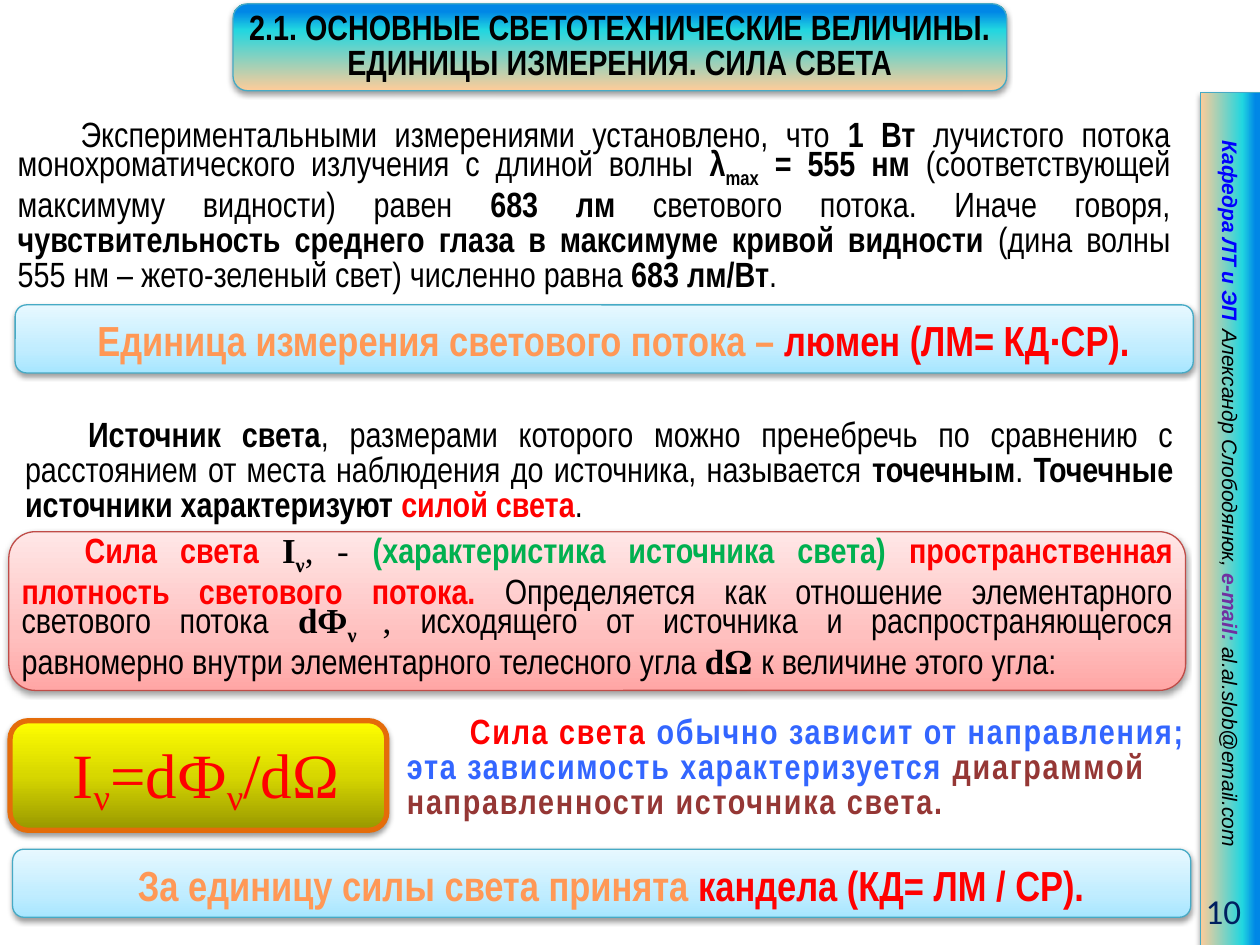
from dataclasses import dataclass

from lxml.etree import SubElement
from pptx import Presentation
from pptx.dml.color import RGBColor
from pptx.enum.shapes import MSO_SHAPE as Shape
from pptx.enum.text import MSO_ANCHOR as Anchor, MSO_AUTO_SIZE as AutoSize, PP_ALIGN as Align
from pptx.oxml.ns import qn
from pptx.util import Inches, Pt

COLUMNS, ROWS = 100, 75


@dataclass(frozen=True)
class Ink:
    color: str = "000000"
    bold: bool = False
    font: str = "Arial Narrow"
    italic: bool = False
    baseline: int = 0
    spacing: int = 0


@dataclass(frozen=True)
class Finish:
    stops: tuple
    line: str
    weight: float = 0.75


class Theme:
    # Type sizes and line heights
    label, body, accent, formula = 12, 20, 24, 36
    body_line, accent_line, formula_line = 20, 30, 48
    tight = 0.04
    serif = "Times New Roman"

    # Panels: gradient stops run from the bottom up
    header = Finish(((0, "FFCC99"), (70, "21D6E0"), (91, "0087E6")), "46AAC5")
    sky = Finish(((0, "A7E6FF"), (35, "C1EDFF"), (100, "E7F8FF")), "46AAC5")
    rose = Finish(((0, "FFA6A5"), (35, "FFC0BF"), (100, "FFE7E7")), "BF4C48")
    gold = Finish(((0, "979700"), (50, "D7D700"), (100, "FFFF00")), "E46C0A", 3)

    # Text
    plain = Ink()
    strong = Ink(bold=True)
    strong_sub = Ink(bold=True, baseline=-25)
    red = Ink("FF0000", True)
    green = Ink("00B050", True)
    orange = Ink("FF9856", True)
    symbol = Ink(bold=True, font=serif)
    symbol_sub = Ink(bold=True, font=serif, baseline=-25)
    comma = Ink(font=serif)
    equation = Ink("FF0000", font=serif)
    equation_sub = Ink("FF0000", font=serif, baseline=-18)
    wide_red = Ink("FF0000", True, spacing=1)
    wide_blue = Ink("3366FF", True, spacing=1)
    wide_brown = Ink("953735", True, spacing=1)
    department = Ink("0000FF", True, "Arial", True)
    author = Ink("000000", False, "Arial", True)
    contact = Ink("7030A0", True, "Arial", True)
    number = Ink("002060", font="Calibri")


class SlideBuilder:
    def __init__(self, deck, theme):
        self.deck, self.theme = deck, theme
        self.page = deck.slides.add_slide(deck.slide_layouts[6])

    def place(self, at):
        cell_width = self.deck.slide_width / COLUMNS
        cell_height = self.deck.slide_height / ROWS
        left, top, width, height = at
        return [round(v) for v in (left * cell_width, top * cell_height,
                                   width * cell_width, height * cell_height)]

    def panel(self, at, finish, kind=Shape.ROUNDED_RECTANGLE, rotation=0):
        box = self.page.shapes.add_shape(kind, *self.place(at))
        box.rotation = rotation
        box.line.color.rgb = RGBColor.from_string(finish.line)
        box.line.width = Pt(finish.weight)
        box.fill.gradient()
        box.fill.gradient_angle = 90
        properties = box._element.spPr
        stop_list = properties.find(qn("a:gradFill")).find(qn("a:gsLst"))
        for stop in list(stop_list):
            stop_list.remove(stop)
        for position, color in finish.stops:
            stop = SubElement(stop_list, qn("a:gs"), pos=str(position * 1000))
            SubElement(stop, qn("a:srgbClr"), val=color)
        # Soft shadow straight below
        box.shadow.inherit = False
        shadow = SubElement(properties.find(qn("a:effectLst")), qn("a:outerShdw"),
                            blurRad="40000", dist="20000", dir="5400000", rotWithShape="0")
        black = SubElement(shadow, qn("a:srgbClr"), val="000000")
        SubElement(black, qn("a:alpha"), val="38000")
        return box

    def text_box(self, at):
        return self.page.shapes.add_textbox(*self.place(at))

    def fill_text(self, box, runs, size, line=None, align=Align.LEFT, anchor=Anchor.MIDDLE,
                  indent=0, inset=None, lead=None, tab=None, grow=False):
        frame = box.text_frame
        frame.word_wrap = True
        frame.vertical_anchor = anchor
        frame.auto_size = AutoSize.SHAPE_TO_FIT_TEXT if grow else AutoSize.NONE
        if inset is not None:
            frame.margin_left = frame.margin_right = Inches(inset)
            frame.margin_top = frame.margin_bottom = Inches(inset)
        if lead is not None:
            frame.margin_left = Inches(lead)
        para = frame.paragraphs[0]
        para.alignment = align
        if line:
            para.line_spacing = Pt(line)
        settings = para._p.get_or_add_pPr()
        settings.set("marL", "0")
        settings.set("indent", str(Inches(indent)))
        if tab:
            tabs = SubElement(settings, qn("a:tabLst"))
            SubElement(tabs, qn("a:tab"), pos=str(Inches(tab)), algn="l")
        for text, ink in runs:
            span = para.add_run()
            span.text = text
            font = span.font
            font.name, font.size = ink.font, Pt(size)
            font.bold, font.italic = ink.bold, ink.italic
            font.color.rgb = RGBColor.from_string(ink.color)
            marks = span._r.get_or_add_rPr()
            if ink.baseline:
                marks.set("baseline", str(ink.baseline * 1000))
            if ink.spacing:
                marks.set("spc", str(ink.spacing * 100))

    def unit_banner(self, at, lead_text, unit_text):
        theme = self.theme
        self.fill_text(self.panel(at, theme.sky),
                       [(lead_text, theme.orange), (unit_text, theme.red)],
                       theme.accent, theme.accent_line, Align.CENTER,
                       inset=theme.tight, lead=0.19)

    def prose(self, box, runs, **options):
        settings = dict(align=Align.JUSTIFY, indent=0.5, inset=self.theme.tight)
        self.fill_text(box, runs, self.theme.body, self.theme.body_line,
                       **{**settings, **options})


def main():
    deck = Presentation()
    deck.slide_width, deck.slide_height = Inches(10), Inches(7.5)
    t = Theme()
    slide = SlideBuilder(deck, t)

    # Relation to direction, beside the formula
    slide.prose(slide.text_box((31.9, 56.4, 62.7, 9.2)), [
        ("Сила света ", t.wide_red),
        ("обычно зависит от направления; эта зависимость характеризуется ", t.wide_blue),
        ("диаграммой направленности источника света.", t.wide_brown),
    ], align=Align.LEFT, grow=True)

    # Side strip and page number
    strip = slide.panel((63.8, 38.8, 67.7, 4.8), t.header, Shape.RECTANGLE, 90)
    slide.fill_text(strip, [
        ("Кафедра ЛТ и ЭП\t", t.department), ("Александр Слободянюк, ", t.author),
        ("e-mail: ", t.contact), ("al.al.slob@email.com", t.author),
    ], t.label, lead=0.38, tab=1.85)
    slide.fill_text(slide.text_box((88.6, 70.3, 10.9, 4)), [("10", t.number)],
                    t.body, align=Align.RIGHT)

    # Title
    slide.prose(slide.panel((18.5, 0.3, 61.4, 6.9), t.header), [
        ("2.1. ОСНОВНЫЕ СВЕТОТЕХНИЧЕСКИЕ ВЕЛИЧИНЫ. ЕДИНИЦЫ ИЗМЕРЕНИЯ. СИЛА СВЕТА", t.strong),
    ], align=Align.CENTER, indent=0)

    # Unit banners
    slide.unit_banner((1, 67.4, 93.5, 5.4), "За единицу силы света принята ",
                      "кандела (КД= ЛМ / СР).")
    slide.unit_banner((1.2, 24.2, 93.5, 5.4), "Единица измерения светового потока – ",
                      "люмен (ЛМ= КД·СР).")

    # Definition of luminous intensity
    slide.prose(slide.panel((0.7, 42.2, 93.4, 12.6), t.rose), [
        ("Сила света ", t.red), ("I", t.symbol), ("ν", t.symbol_sub), (", - ", t.comma),
        ("(характеристика источника света) ", t.green),
        ("пространственная плотность светового потока. ", t.red),
        ("Определяется как отношение элементарного светового потока", t.plain),
        (" dФ", t.symbol), ("ν ", t.symbol_sub), (", ", t.comma),
        ("исходящего от источника и распространяющегося равномерно внутри "
         "элементарного телесного угла ", t.plain),
        ("dΩ ", t.symbol), ("к величине этого угла:", t.plain),
    ])

    # Formula
    slide.fill_text(slide.panel((0.8, 57.2, 29.9, 8.7), t.gold), [
        ("I", t.equation), ("ν", t.equation_sub), ("=dФ", t.equation),
        ("ν", t.equation_sub), ("/dΩ", t.equation),
    ], t.formula, t.formula_line, Align.CENTER, inset=t.tight, lead=0.16)

    # Point source
    slide.prose(slide.text_box((1, 32.8, 93.1, 9.4)), [
        ("Источник света", t.strong),
        (", размерами которого можно пренебречь по сравнению с расстоянием "
         "от места наблюдения до источника, называется ", t.plain),
        ("точечным", t.strong), (". ", t.plain),
        ("Точечные источники характеризуют ", t.strong),
        ("силой света", t.red), (".", t.plain),
    ], anchor=Anchor.TOP, inset=None, grow=True)

    # Experimental basis
    slide.prose(slide.text_box((1, 9.1, 92.3, 15)), [
        ("Экспериментальными измерениями установлено, что ", t.plain), ("1 Вт ", t.strong),
        ("лучистого потока монохроматического излучения с длиной волны ", t.plain),
        ("λ", t.strong), ("max", t.strong_sub), (" = 555 нм ", t.strong),
        ("(соответствующей максимуму видности) равен ", t.plain), ("683 лм ", t.strong),
        ("светового потока. Иначе говоря, ", t.plain),
        ("чувствительность среднего глаза в максимуме кривой видности ", t.strong),
        ("(дина волны 555 нм – жето-зеленый свет) численно равна", t.plain),
        (" 683 лм/Вт", t.strong), (".", t.plain),
    ], anchor=Anchor.TOP, grow=True)

    deck.save("out.pptx")


if __name__ == "__main__":
    main()
